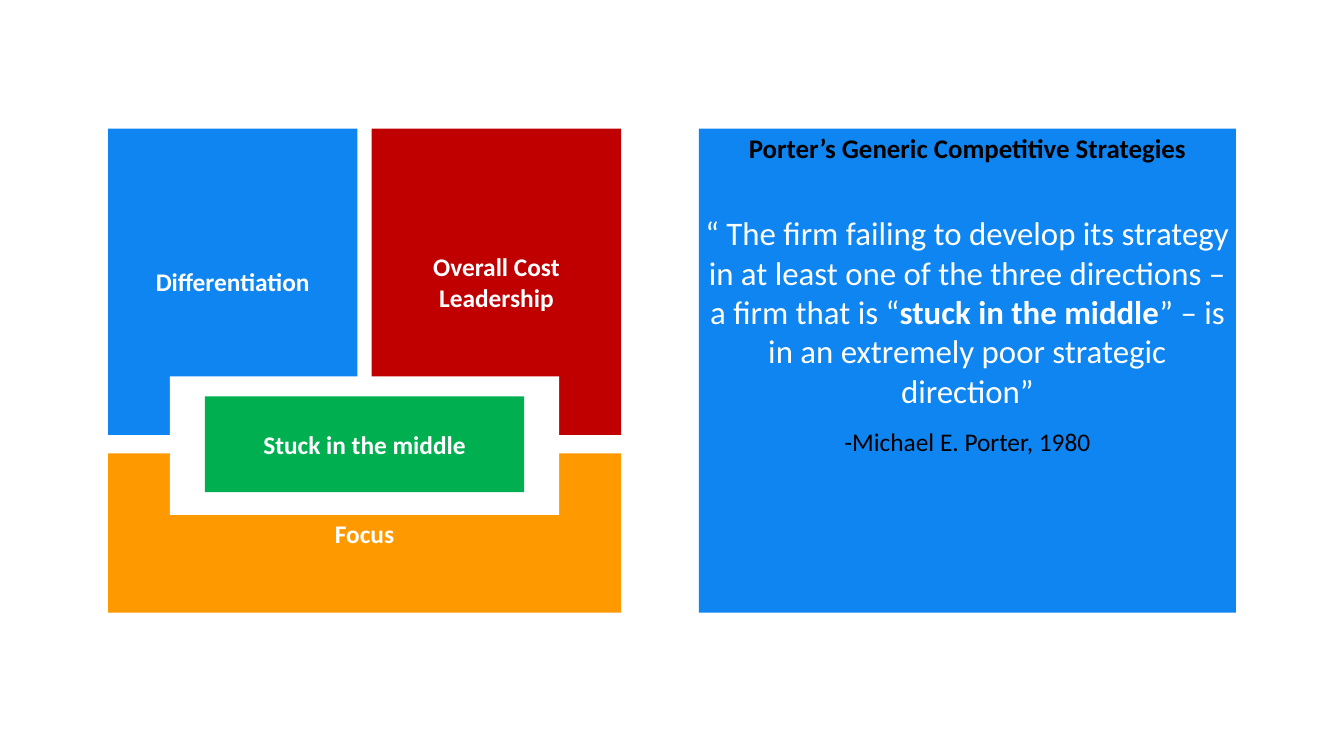
import dataclasses

import pptx
import pptx.dml.color
import pptx.enum.shapes
import pptx.enum.text
import pptx.util


@dataclasses.dataclass(frozen=True)
class Theme:
    """Colours, font and type sizes of the slide."""
    blue: str = "0F85F1"
    red: str = "C00000"
    orange: str = "FF9900"
    green: str = "00B050"
    white: str = "FFFFFF"
    black: str = "000000"
    font: str = "Calibri"
    label: int = 34
    heading: int = 36
    quote: int = 44


@dataclasses.dataclass(frozen=True)
class Box:
    """A rectangle in inches."""
    left: float
    top: float
    width: float
    height: float

    def inner_box(self, left, top, width, height):
        """Return the inner box given in percent of this one."""
        return Box(self.left + self.width * left / 100,
                   self.top + self.height * top / 100,
                   self.width * width / 100,
                   self.height * height / 100)


THEME = Theme()
SLIDE = Box(0, 0, 25, 14)


def rgb(colour):
    """Return the colour object for a hex string."""
    return pptx.dml.color.RGBColor.from_string(colour)


def add_block(slide, box, fill):
    """Add a flat rectangle without outline."""
    shape = slide.shapes.add_shape(
        pptx.enum.shapes.MSO_SHAPE.RECTANGLE,
        *(pptx.util.Inches(length) for length in dataclasses.astuple(box)))
    shape.shadow.inherit = False
    shape.fill.solid()
    shape.fill.fore_color.rgb = rgb(fill)
    shape.line.fill.background()
    shape.text_frame.word_wrap = True
    return shape


def style_paragraph(paragraph, size, colour, bold=False, space_before=0):
    """Centre a paragraph and set its type."""
    paragraph.alignment = pptx.enum.text.PP_ALIGN.CENTER
    if space_before:
        paragraph.space_before = pptx.util.Pt(space_before)
    paragraph.font.name = THEME.font
    paragraph.font.size = pptx.util.Pt(size)
    paragraph.font.color.rgb = rgb(colour)
    paragraph.font.bold = bold


def add_strategy_map(slide, box):
    """Place the three strategies around the middle position."""
    column, row, focus = 48.6, 63.3, 32.9
    margin_width, middle_width = 75.9, 62.2
    blocks = [
        ("Differentiation", THEME.blue, (0, 0, column, row)),
        ("Overall Cost Leadership", THEME.red, (100 - column, 0, column, row)),
        ("Focus", THEME.orange, (0, 100 - focus, 100, focus)),
        ("", THEME.white,
         ((100 - margin_width) / 2, 51.2, margin_width, 28.6)),
        ("Stuck in the middle", THEME.green,
         ((100 - middle_width) / 2, 55.3, middle_width, 19.8)),
    ]
    for label, fill, shares in blocks:
        frame = add_block(slide, box.inner_box(*shares), fill).text_frame
        if label:
            frame.vertical_anchor = pptx.enum.text.MSO_ANCHOR.MIDDLE
            frame.text = label
            style_paragraph(frame.paragraphs[0], THEME.label, THEME.white, bold=True)


def add_quote_panel(slide, box):
    """Place the heading, the quotation and its author on a panel."""
    frame = add_block(slide, box, THEME.blue).text_frame
    frame.vertical_anchor = pptx.enum.text.MSO_ANCHOR.TOP

    heading = frame.paragraphs[0]
    heading.text = "Porter’s Generic Competitive Strategies"
    style_paragraph(heading, THEME.heading, THEME.black, bold=True)

    quote = frame.add_paragraph()
    style_paragraph(quote, THEME.quote, THEME.white, space_before=66)
    for text, bold in [
        ("“ The firm failing to develop its strategy in at least one of "
         "the three directions –a firm that is “", False),
        ("stuck in the middle", True),
        ("” – is in an extremely poor strategic direction”", False),
    ]:
        run = quote.add_run()
        run.text = text
        run.font.bold = bold

    author = frame.add_paragraph()
    author.text = "-Michael E. Porter, 1980"
    style_paragraph(author, THEME.label, THEME.black, space_before=22)


def main():
    """Build the slide and save it."""
    presentation = pptx.Presentation()
    presentation.slide_width = pptx.util.Inches(SLIDE.width)
    presentation.slide_height = pptx.util.Inches(SLIDE.height)
    slide = presentation.slides.add_slide(presentation.slide_layouts[6])
    top, height = 17.07, 64.29
    add_strategy_map(slide, SLIDE.inner_box(8.04, top, 38.17, height))
    add_quote_panel(slide, SLIDE.inner_box(52, top, 39.96, height))
    presentation.save("out.pptx")


if __name__ == "__main__":
    main()
